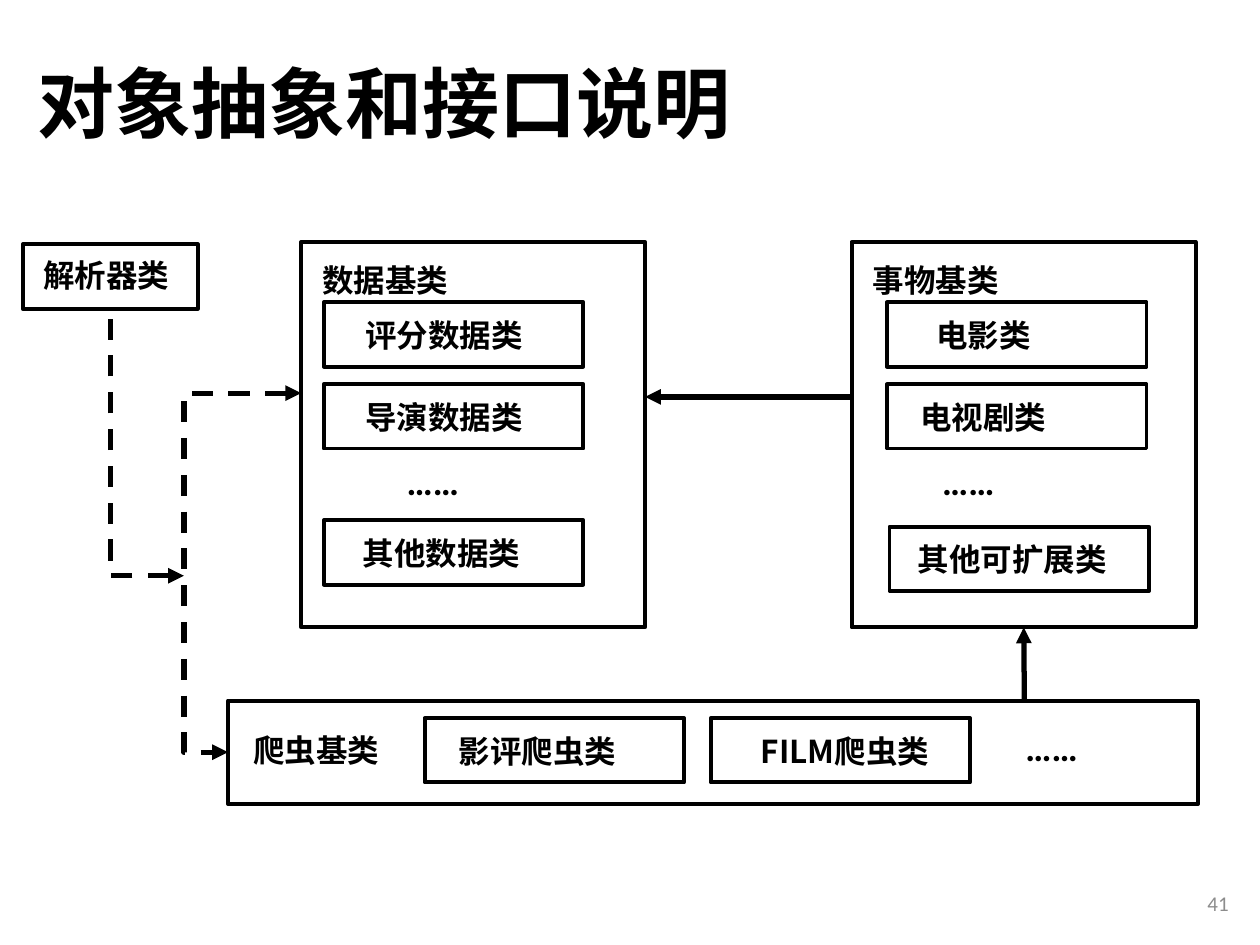
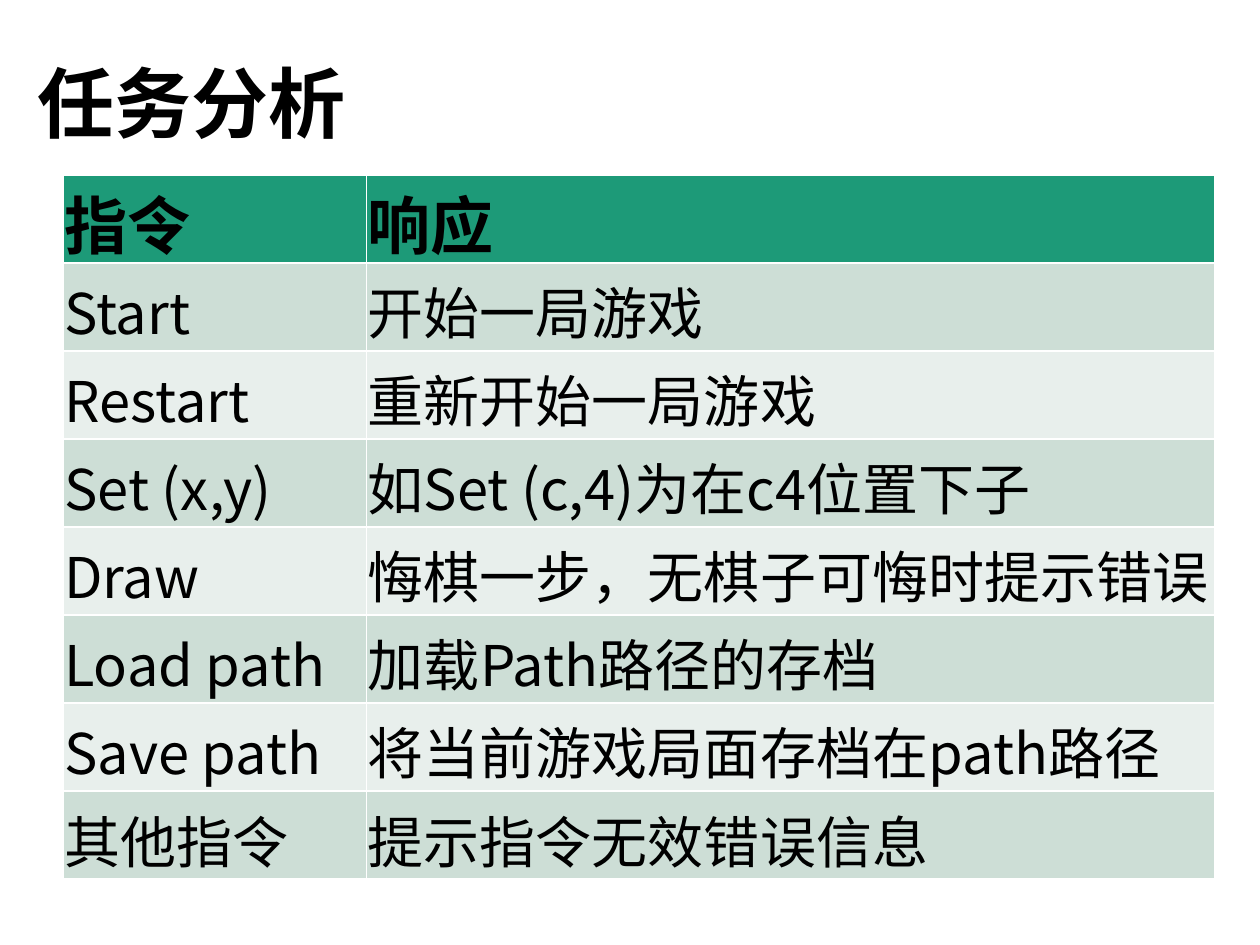
from dataclasses import dataclass

from lxml.etree import SubElement
from pptx import Presentation
from pptx.dml.color import RGBColor
from pptx.enum.dml import MSO_LINE
from pptx.enum.shapes import MSO_CONNECTOR, MSO_SHAPE
from pptx.enum.text import MSO_ANCHOR, PP_ALIGN
from pptx.oxml import parse_xml
from pptx.oxml.ns import nsdecls, qn
from pptx.util import Inches, Pt


@dataclass(frozen=True)
class Theme:
    ink: str = "000000"
    paper: str = "FFFFFF"
    number: str = "8C8C8C"
    header: str = "1D9A78"
    bands: tuple = ("CDDED6", "E8EFEC")
    cjk: str = "Noto Sans CJK SC"
    latin: str = "Calibri"
    title_size: int = 44
    header_size: int = 36
    cell_size: int = 32
    dots_size: int = 21
    label_size: int = 18
    number_size: int = 12
    box_line: float = 2.25
    arrow_line: float = 3


theme = Theme()


def write_span(para, text, size, font=theme.cjk, color=theme.ink, bold=True):
    span = para.add_run()
    span.text = text
    span.font.size = Pt(size)
    span.font.name = font
    span.font.bold = bold
    span.font.color.rgb = RGBColor.from_string(color)
    SubElement(span.font._element, qn("a:ea")).set("typeface", font)


def add_label(page, text, place, size=theme.label_size, align=PP_ALIGN.LEFT,
              anchor=MSO_ANCHOR.TOP, **look):
    box = page.shapes.add_textbox(*map(Inches, place))
    box.text_frame.word_wrap = True
    box.text_frame.vertical_anchor = anchor
    para = box.text_frame.paragraphs[0]
    para.alignment = align
    write_span(para, text, size, **look)
    return para


deck = Presentation()
deck.slide_width = Inches(10)
deck.slide_height = Inches(7.5)

pages = []
for title in ("对象抽象和接口说明", "任务分析"):
    page = deck.slides.add_slide(deck.slide_layouts[6])
    para = add_label(page, title, (0.2, 0.13, 8.62, 1.45), theme.title_size,
                     anchor=MSO_ANCHOR.MIDDLE)
    para.line_spacing = 0.9
    pages.append(page)
class_page, task_page = pages

add_label(class_page, "41", (7.6, 6.97, 2.25, 0.4), theme.number_size, PP_ALIGN.RIGHT,
          MSO_ANCHOR.MIDDLE, font=theme.latin, color=theme.number, bold=False)

thing_panel = (6.76, 1.92, 2.73, 3.06)
data_panel = (2.39, 1.92, 2.73, 3.06)
crawler_panel = (1.81, 5.56, 7.7, 0.82)
parser_box = (0.18, 1.94, 1.39, 0.51)

class_boxes = [
    ("电影类", 7.04, 2.4, 7.06, 1.49),
    ("电视剧类", 7.04, 3.05, 7.06, 1.49),
    ("其他可扩展类", 7.06, 4.18, 7.07, 1.93),
    ("评分数据类", 2.57, 2.4, 2.78, 1.49),
    ("导演数据类", 2.57, 3.05, 2.78, 1.49),
    ("其他数据类", 2.57, 4.13, 2.54, 1.93),
    ("影评爬虫类", 3.37, 5.7, 3.52, 1.49),
    ("FILM爬虫类", 5.64, 5.7, 5.79, 1.83),
]
places = [thing_panel, data_panel, crawler_panel, parser_box]
places += [(left, top, 2.06, 0.51) for _, left, top, _, _ in class_boxes]
rects = []
for place in places:
    rect = class_page.shapes.add_shape(MSO_SHAPE.RECTANGLE, *map(Inches, place))
    rect.shadow.inherit = False
    rect.fill.solid()
    rect.fill.fore_color.rgb = RGBColor.from_string(theme.paper)
    rect.line.color.rgb = RGBColor.from_string(theme.ink)
    rect.line.width = Pt(theme.box_line)
    rects.append(rect)

for name, _, top, left, width in class_boxes:
    add_label(class_page, name, (left, top + 0.06, width, 0.4), align=PP_ALIGN.CENTER)
add_label(class_page, "解析器类", (0.16, 1.98, 1.37, 0.4), align=PP_ALIGN.CENTER)

for name, left, top in (("事物基类", 6.83, 2.02), ("数据基类", 2.46, 2.02),
                        ("爬虫基类", 1.91, 5.75)):
    add_label(class_page, name, (left, top, 1.49, 0.4))

for left, top in ((7.38, 3.59), (3.13, 3.59), (8.04, 5.7)):
    add_label(class_page, "……", (left, top, 1.14, 0.45), theme.dots_size, font=theme.latin)

arrows = [
    ((6.76, 3.15, 5.12, 3.15), ("tailEnd",), None),
    ((8.13, 5.56, 8.13, 4.98), ("tailEnd",), None),
    ((2.39, 3.12, 1.81, 5.97), ("headEnd", "tailEnd"), 160300),
    ((1.46, 4.57, 0.88, 2.45), ("headEnd",), 100000),
]
connectors = []
for ends, heads, bend in arrows:
    kind = MSO_CONNECTOR.ELBOW if bend else MSO_CONNECTOR.STRAIGHT
    arrow = class_page.shapes.add_connector(kind, *map(Inches, ends))
    arrow.line.color.rgb = RGBColor.from_string(theme.ink)
    arrow.line.width = Pt(theme.arrow_line)
    properties = arrow._element.spPr
    if bend:
        arrow.line.dash_style = MSO_LINE.DASH
        guides = properties.find(qn("a:prstGeom")).find(qn("a:avLst"))
        SubElement(guides, qn("a:gd"), name="adj1", fmla=f"val {bend}")
    for head in heads:
        SubElement(properties.find(qn("a:ln")), qn(f"a:{head}"), type="triangle")
    SubElement(properties, qn("a:effectLst"))
    connectors.append(arrow)
connectors[1].end_connect(rects[0], 2)

commands = [
    ("指令", "响应"),
    ("Start", "开始一局游戏"),
    ("Restart", "重新开始一局游戏"),
    ("Set (x,y)", "如Set (c,4)为在c4位置下子"),
    ("Draw", "悔棋一步，无棋子可悔时提示错误"),
    ("Load path", "加载Path路径的存档"),
    ("Save path", "将当前游戏局面存档在path路径"),
    ("其他指令", "提示指令无效错误信息"),
]
table = task_page.shapes.add_table(
    len(commands), 2, Inches(0.5), Inches(1.39), Inches(9.14), Inches(5.59)).table
table.columns[0].width = Inches(2.41)
table.columns[1].width = Inches(6.73)
for row, texts in enumerate(commands):
    is_header = row == 0
    fill = theme.header if is_header else theme.bands[(row - 1) % 2]
    size = theme.header_size if is_header else theme.cell_size
    for column, text in enumerate(texts):
        cell = table.cell(row, column)
        cell.margin_left = cell.margin_right = cell.margin_top = Inches(0.01)
        cell.margin_bottom = 0
        cell.vertical_anchor = MSO_ANCHOR.BOTTOM
        cell.fill.solid()
        cell.fill.fore_color.rgb = RGBColor.from_string(fill)
        write_span(cell.text_frame.paragraphs[0], text, size, bold=is_header)
        for index, side in enumerate(("lnL", "lnR", "lnT", "lnB")):
            cell._tc.tcPr.insert(index, parse_xml(
                f'<a:{side} {nsdecls("a")} w="{Pt(1)}"><a:solidFill>'
                f'<a:srgbClr val="{theme.paper}"/></a:solidFill></a:{side}>'))

deck.save("out.pptx")
